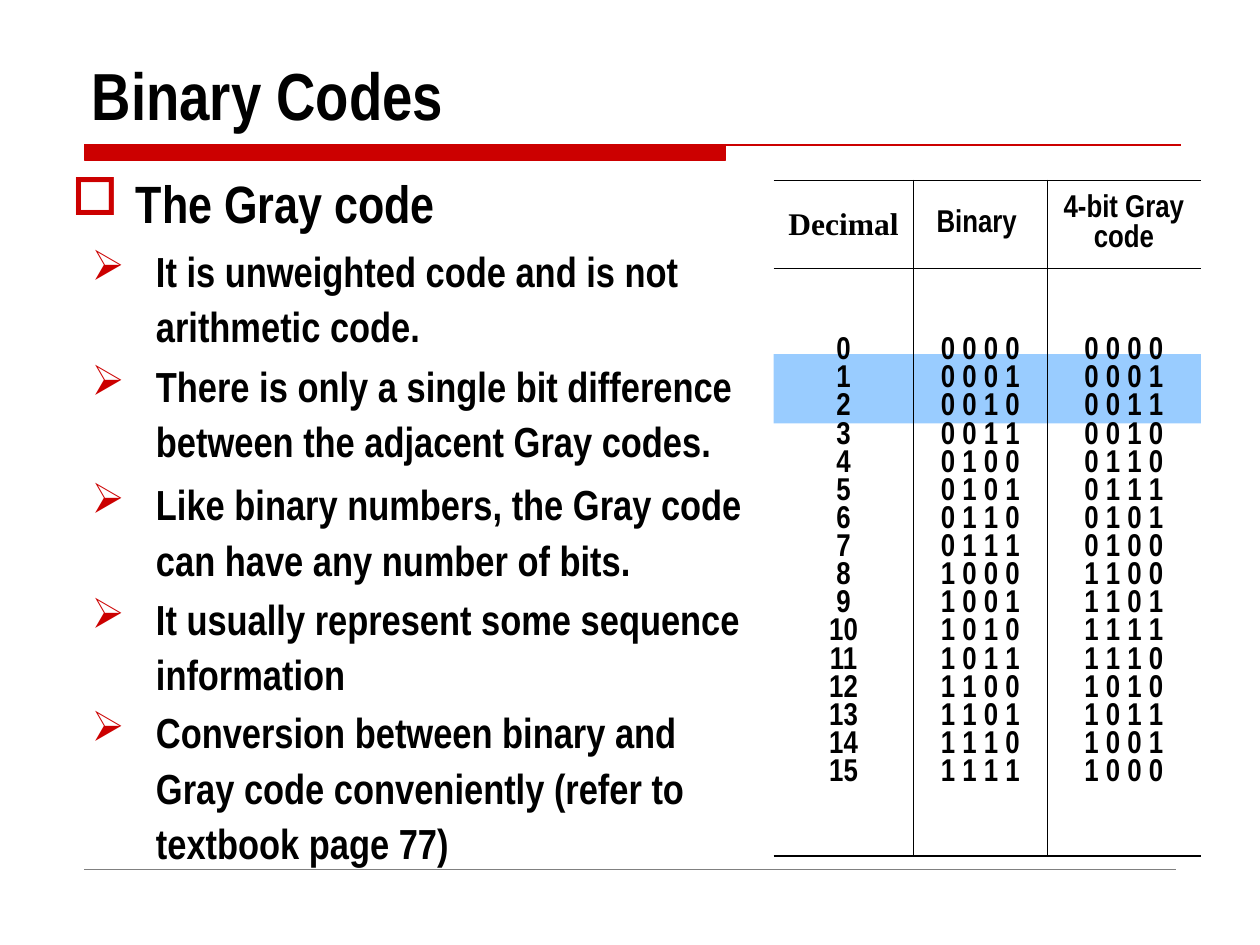
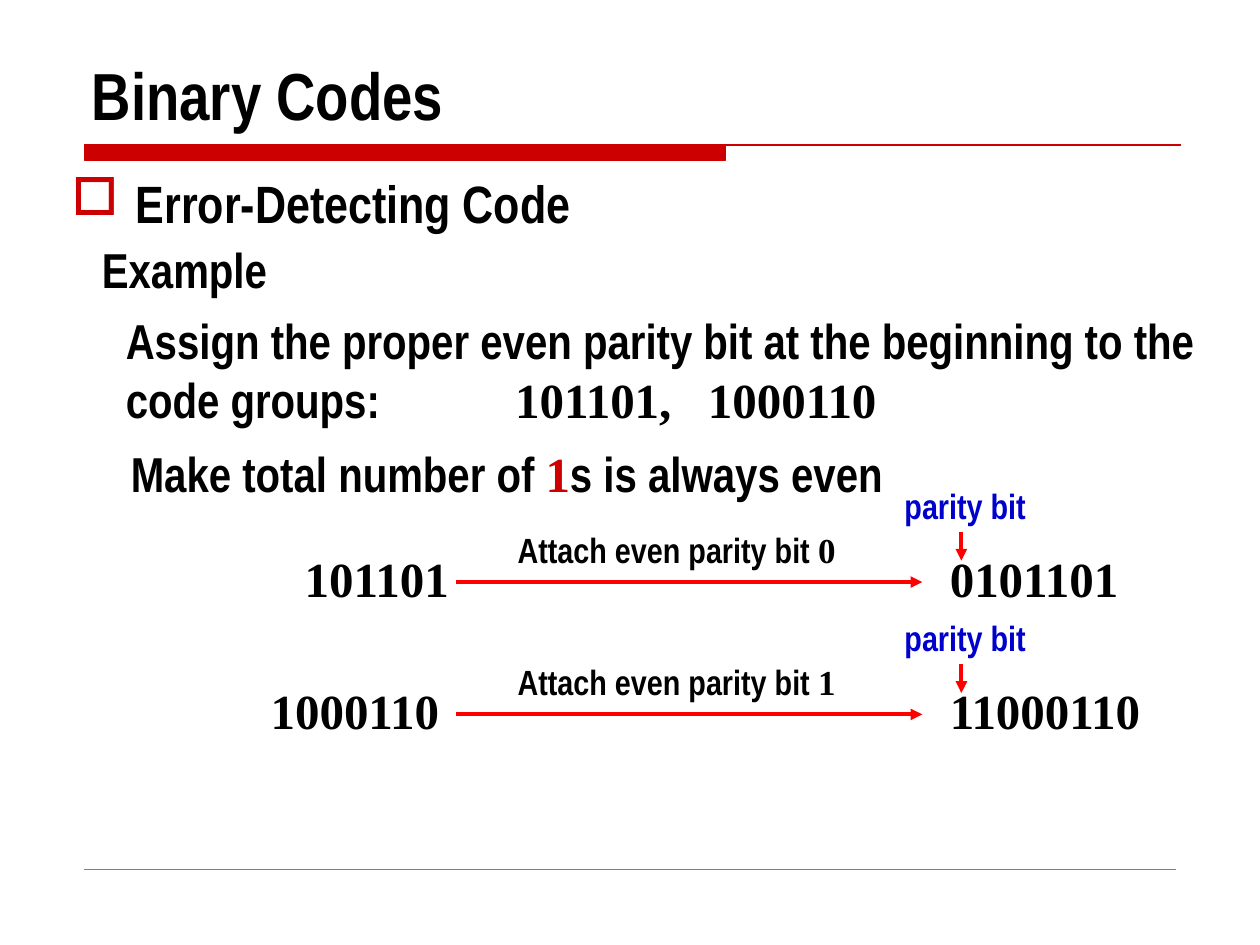
from pptx import Presentation
from pptx import util as u
from pptx.dml.color import RGBColor
from pptx.enum import shapes, text
from pptx.oxml import parse_xml
from pptx.oxml.ns import nsdecls
from lxml import etree

PX = 9144  # EMU per px, 100 px to the inch
C = {"red": "CC0000", "arrow": "FF0000", "blue": "0000CC", "black": "000000",
     "highlight": "99CCFF", "footer": "808080"}
SANS, SERIF = "Arial Narrow", "Times New Roman"
MIDDLE, TOP, BOTTOM = text.MSO_ANCHOR.MIDDLE, text.MSO_ANCHOR.TOP, text.MSO_ANCHOR.BOTTOM
CENTER = text.PP_ALIGN.CENTER


def add_text(slide, box, runs, size, anchor=MIDDLE, align=None, bullet=None, spacing=None, tabs=(), wrap=True):
    """One-paragraph text box; runs are (words, font, colour)."""
    sp = slide.shapes.add_textbox(*(v * PX for v in box))
    tf = sp.text_frame
    tf.word_wrap, tf.vertical_anchor = wrap, anchor
    p = tf.paragraphs[0]
    p.alignment, p.line_spacing = align, spacing
    pPr = p._p.get_or_add_pPr()
    if bullet:
        pPr.set("marL", str(51 * PX))
        pPr.set("indent", str(-51 * PX))
        pPr.append(parse_xml(f'<a:buClr {nsdecls("a")}><a:srgbClr val="{C["red"]}"/></a:buClr>'))
        pPr.append(parse_xml(f'<a:buChar {nsdecls("a")} char="{bullet}"/>'))
    if tabs:
        stops = "".join(f'<a:tab pos="{t * PX}" algn="l"/>' for t in tabs)
        pPr.append(parse_xml(f'<a:tabLst {nsdecls("a")}>{stops}</a:tabLst>'))
    for words, font, color in runs:
        r = p.add_run()
        r.text = words
        r.font.name, r.font.size, r.font.bold = font, u.Pt(size), True
        r.font.color.rgb = RGBColor.from_string(C[color])


def add_line(slide, x1, y1, x2, y2, color, width, arrow=False):
    ln = slide.shapes.add_connector(shapes.MSO_CONNECTOR.STRAIGHT, x1 * PX, y1 * PX, x2 * PX, y2 * PX)
    ln.line.color.rgb = RGBColor.from_string(C[color])
    ln.line.width = u.Pt(width)
    if arrow:
        ln.line._get_or_add_ln().append(parse_xml(f'<a:tailEnd {nsdecls("a")} type="triangle"/>'))
    ln._element.spPr.append(parse_xml(f'<a:effectLst {nsdecls("a")}/>'))


prs = Presentation()
prs.slide_width, prs.slide_height = 1000 * PX, 750 * PX

# Shared frame: title, red band, footer rule, heading
slides = []
for heading, width in [("The Gray code", 875), ("Error-Detecting Code", 933)]:
    s = prs.slides.add_slide(prs.slide_layouts[6])
    fb = s.shapes.build_freeform(67, 115, scale=PX)
    fb.add_line_segments([(576, 115), (576, 127), (67, 127)], close=True)
    fb.move_to(67, 115)
    fb.add_line_segments([(937, 115)], close=False)
    band = fb.convert_to_shape()
    band.shadow.inherit = False
    band.fill.solid()
    band.fill.fore_color.rgb = band.line.color.rgb = RGBColor.from_string(C["red"])
    band.line.width = u.Pt(0.75)
    add_line(s, 67, 690, 933, 690, "footer", 0.25)
    add_text(s, (63, 28, 875, 83), [("Binary Codes", SANS, "black")], 38, BOTTOM)
    add_text(s, (47, 131, width, 60), [(heading, SANS, "black")], 30, TOP, bullet="□")
    slides.append(s)
gray, parity = slides

# Gray code: bullets
points = [
    (186, 98, "It is unweighted code and is not arithmetic code."),
    (277, 98, "There is only a single bit difference between the adjacent Gray codes."),
    (371, 98, "Like binary numbers, the Gray code can have any number of bits."),
    (462, 98, "It usually represent some sequence information"),
    (552, 142, "Conversion between binary and Gray code conveniently (refer to textbook page 77)"),
]
for y, h, words in points:
    add_text(gray, (63, y, 547, h), [(words, SANS, "black")], 24, TOP, bullet="➢", spacing=1.1)

# Gray code: highlight behind the table
sp = gray.shapes.add_shape(shapes.MSO_SHAPE.RECTANGLE, 614 * PX, 281 * PX, 339 * PX, 55 * PX)
sp.shadow.inherit = False
sp.fill.solid()
sp.fill.fore_color.rgb = RGBColor.from_string(C["highlight"])
sp.line.fill.background()

# Gray code: table of codes
numbers = range(16)
columns = [
    ("Decimal", [str(n) for n in numbers]),
    ("Binary ", [" ".join(f"{n:04b}") for n in numbers]),
    ("4-bit Gray code", [" ".join(f"{n ^ n >> 1:04b}") for n in numbers]),
]
frame = gray.shapes.add_table(3, 3, 614 * PX, 103 * PX, 339 * PX, 576 * PX)
tbl = frame.table
tbl.first_row = tbl.horz_banding = False
tbl._tbl.tblPr.find("{*}tableStyleId").text = "{2D5ABB26-0587-4C30-8999-92F81FD0307C}"
for col, w in zip(tbl.columns, (111, 106, 122)):
    col.width = w * PX
for row, h in zip(tbl.rows, (40, 70, 466)):
    row.height = h * PX
tbl.cell(0, 0).merge(tbl.cell(0, 2))
rule_widths = (0, 0.75, 0.45, 1.08)  # above each row, then below the last
for i in range(3):
    for j, (head, codes) in enumerate(columns):
        cell = tbl.cell(i, j)
        cell.vertical_anchor = MIDDLE
        edges = {"lnL": 0.45 if i and j else 0, "lnR": 0.45 if i and j < 2 else 0,
                 "lnT": rule_widths[i], "lnB": rule_widths[i + 1]}
        for tag, pt in edges.items():
            if pt:
                ln = etree.SubElement(cell._tc.get_or_add_tcPr(), f"{{{cell._tc.nsmap['a']}}}{tag}", w=str(u.Pt(pt)))
                ln.append(parse_xml(f'<a:solidFill {nsdecls("a")}><a:srgbClr val="{C["black"]}"/></a:solidFill>'))
        cell.fill.background()
        tf = cell.text_frame
        for k, words in enumerate(([], [head], codes)[i]):
            p = tf.add_paragraph() if k else tf.paragraphs[0]
            p.alignment = CENTER
            if i == 2:
                p.line_spacing = 0.95
            r = p.add_run()
            r.text = words
            r.font.name = SERIF if words == "Decimal" else SANS
            r.font.size, r.font.bold = u.Pt(18), True
            r.font.color.rgb = RGBColor.from_string(C["black"])

# Parity: the exercise
add_text(parity, (71, 185, 151, 57), [("Example", SANS, "black")], 28, wrap=False)
add_text(parity, (90, 241, 878, 104),
         [("Assign the proper even parity bit at the beginning to the code groups:", SANS, "black"),
          ("\t101101,\t1000110", SERIF, "black")], 28, tabs=(309, 462))
add_text(parity, (94, 347, 717, 57),
         [("Make total number of ", SANS, "black"), ("1", SERIF, "red"),
          ("s is always even", SANS, "black")], 28)

# Parity: one worked row per code group
for y, x, w, code, bit in [(379, 232, 146, "101101", "0"), (484, 205, 177, "1000110", "1")]:
    add_text(parity, (x, y + 51, w, 57), [(code, SERIF, "black")], 28)
    add_text(parity, (744, y + 51, 197, 57), [(bit + code, SERIF, "black")], 28)
    add_line(parity, 362, y + 83, 732, y + 83, "arrow", 2.25, arrow=True)
    add_text(parity, (401, y + 35, 295, 44),
             [("Attach even parity bit ", SANS, "black"), (bit, SERIF, "black")], 20)
    add_line(parity, 763, y + 43, 763, y + 66, "arrow", 2.25, arrow=True)
    add_text(parity, (705, y, 122, 44), [("parity bit", SANS, "blue")], 20, align=CENTER)

prs.save("out.pptx")
